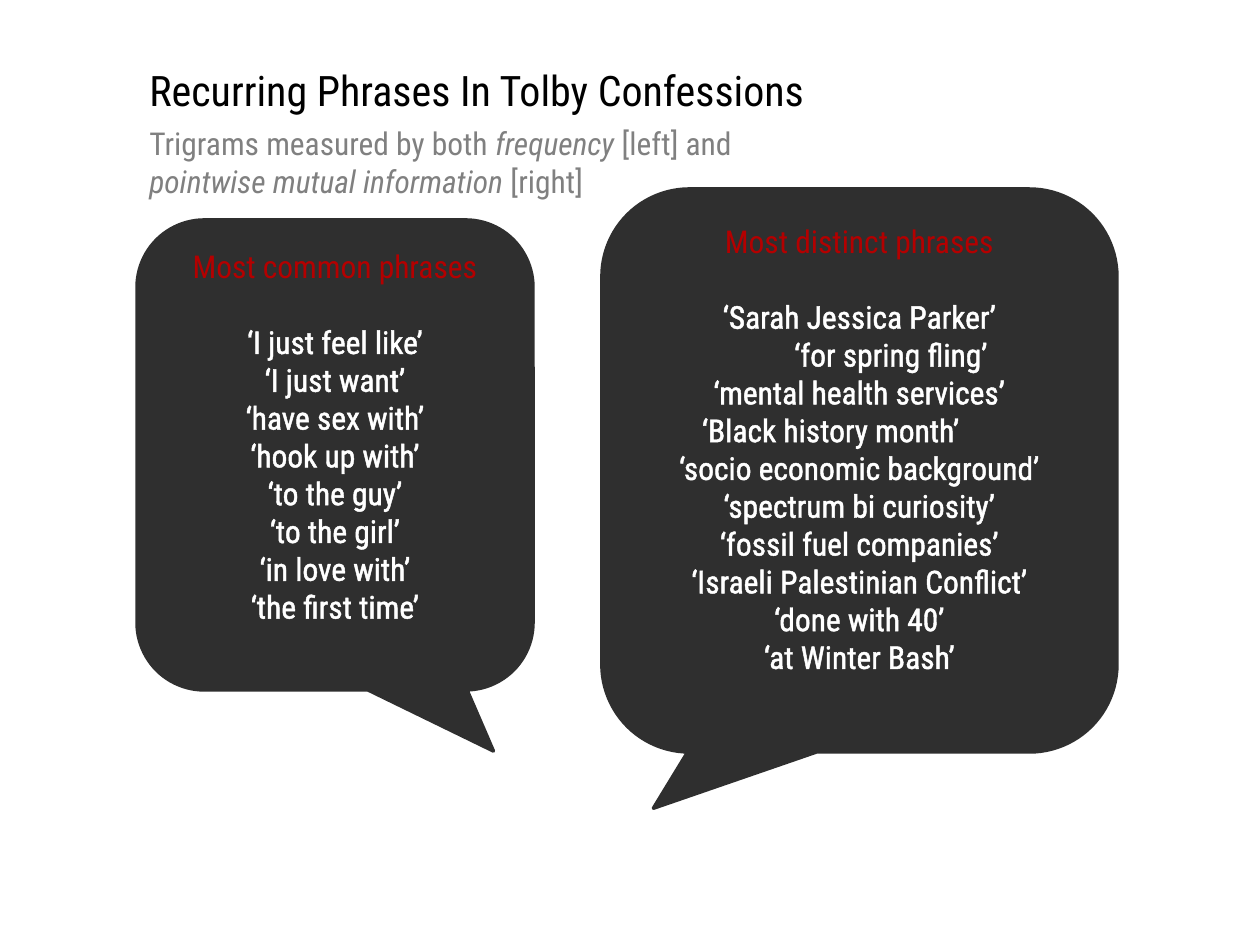
from lxml import etree
from pptx import Presentation
from pptx import util as u
from pptx.dml.color import RGBColor
from pptx.enum import shapes, text
from pptx.oxml.ns import qn

FONT = "Roboto Condensed"
BLACK = RGBColor(0x00, 0x00, 0x00)
GRAY = RGBColor(0x80, 0x80, 0x80)
CHARCOAL = RGBColor(0x2F, 0x2F, 0x2F)
RED = RGBColor(0xB4, 0x00, 0x00)
WHITE = RGBColor(0xFF, 0xFF, 0xFF)
SCALE = 914400 // 126

HEADERS = [
    ((137, 58, 965, 63), 24, BLACK,
     [[("Recurring Phrases In Tolby Confessions", False)]]),
    ((137, 118, 1106, 89), 18, GRAY,
     [[("Trigrams measured by both ", False), ("frequency ", True), ("[left] and ", False)],
      [("pointwise mutual information ", True), ("[right]", False)]]),
]
BUBBLES = [
    dict(place=(602, 189, 515, 563), tail=(-0.4, 0.6, 0.17), outline=0.75, lift=44,
         heading="Most distinct phrases",
         phrases=["‘Sarah Jessica Parker’", "\t‘for spring fling’",
                  "‘mental health services’", "‘Black history month’\t",
                  "‘socio economic background’", "‘spectrum bi curiosity’",
                  "‘fossil fuel companies’", "‘Israeli Palestinian Conflict’",
                  "‘done with 40’", "‘at Winter Bash’"]),
    dict(place=(137, 220, 396, 470), tail=(0.4, 0.63, 0.17), outline=1.42, lift=38,
         heading="Most common phrases",
         phrases=["‘I just feel like’", "‘I just want’", "‘have sex with’",
                  "‘hook up with’", "‘to the guy’", "‘to the girl’",
                  "‘in love with’", "‘the first time’"]),
]


def px(value):
    return u.Emu(value * SCALE)


def style(span, size, color, italic=False):
    span.font.name = FONT
    span.font.size = u.Pt(size)
    span.font.italic = italic
    span.font.color.rgb = color


def outline_text(span, color, width):
    line = etree.Element(qn("a:ln"), w=str(u.Pt(width)))
    fill = etree.SubElement(line, qn("a:solidFill"))
    etree.SubElement(fill, qn("a:srgbClr"), val=str(color))
    span.font._element.insert(0, line)


def add_bubble(page, place, tail, outline, lift, heading, phrases):
    bubble = page.shapes.add_shape(
        shapes.MSO_SHAPE.ROUNDED_RECTANGULAR_CALLOUT, *map(px, place))
    for index, value in enumerate(tail):
        bubble.adjustments[index] = value
    bubble.shadow.inherit = False
    bubble.fill.solid()
    bubble.fill.fore_color.rgb = CHARCOAL
    bubble.line.color.rgb = CHARCOAL
    bubble.line.width = u.Pt(2)
    frame = bubble.text_frame
    frame.word_wrap = True
    frame.vertical_anchor = text.MSO_ANCHOR.MIDDLE
    frame.margin_bottom = frame.margin_top + px(lift)
    frame.text = "\n".join([heading] + phrases)
    for index, para in enumerate(frame.paragraphs):
        color = WHITE if index else RED
        para.alignment = text.PP_ALIGN.CENTER
        for span in para.runs:
            style(span, 18, color)
            outline_text(span, color, outline)
    frame.paragraphs[0].space_after = u.Pt(21.6)


def add_header(page, place, size, color, lines):
    box = page.shapes.add_textbox(*map(px, place))
    frame = box.text_frame
    frame.word_wrap = True
    for index, pieces in enumerate(lines):
        para = frame.add_paragraph() if index else frame.paragraphs[0]
        for words, italic in pieces:
            span = para.add_run()
            span.text = words
            style(span, size, color, italic)


deck = Presentation()
deck.slide_width, deck.slide_height = u.Inches(10), u.Inches(7.5)
page = deck.slides.add_slide(deck.slide_layouts[6])
for bubble in BUBBLES:
    add_bubble(page, **bubble)
for header in HEADERS:
    add_header(page, *header)
deck.save("out.pptx")
